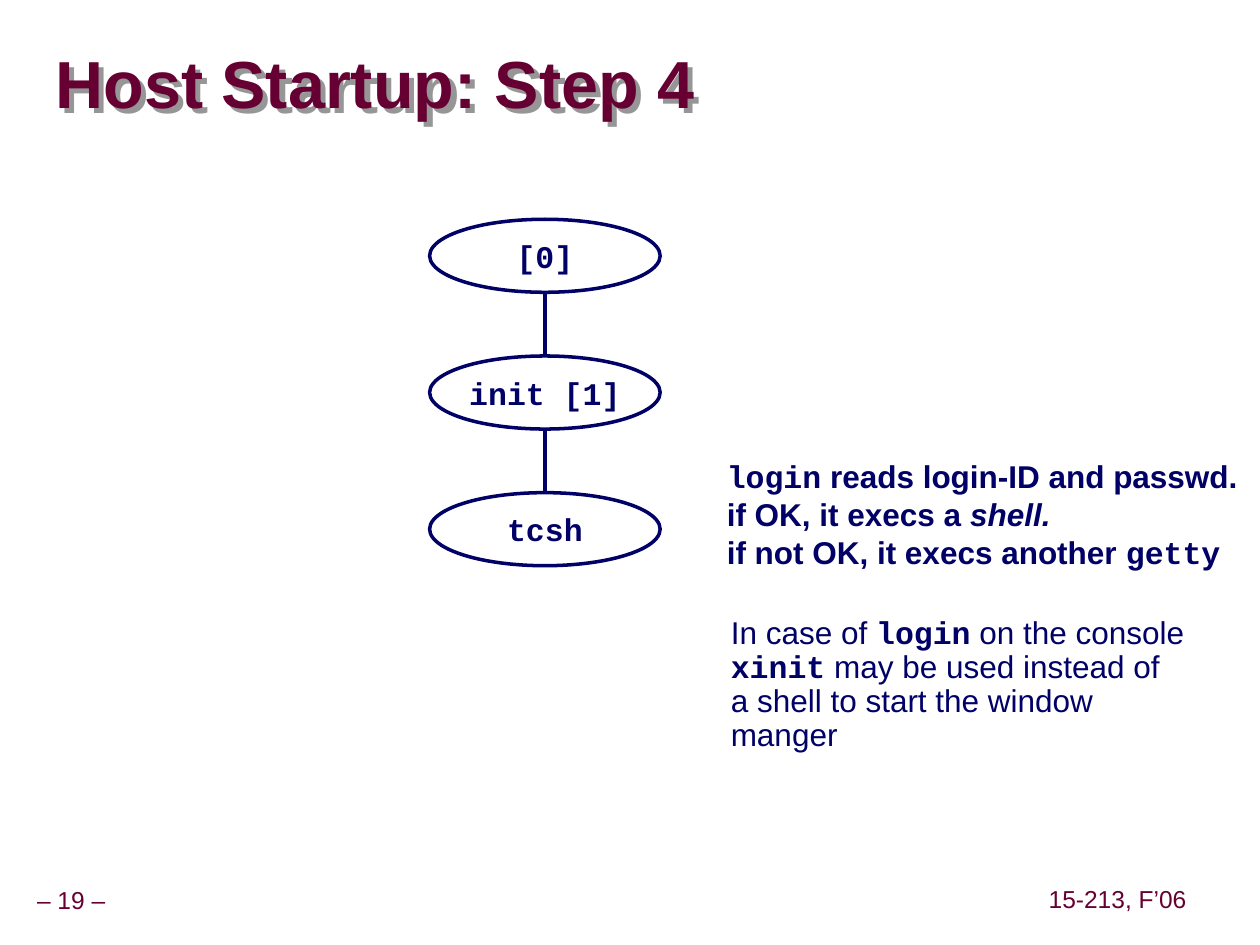
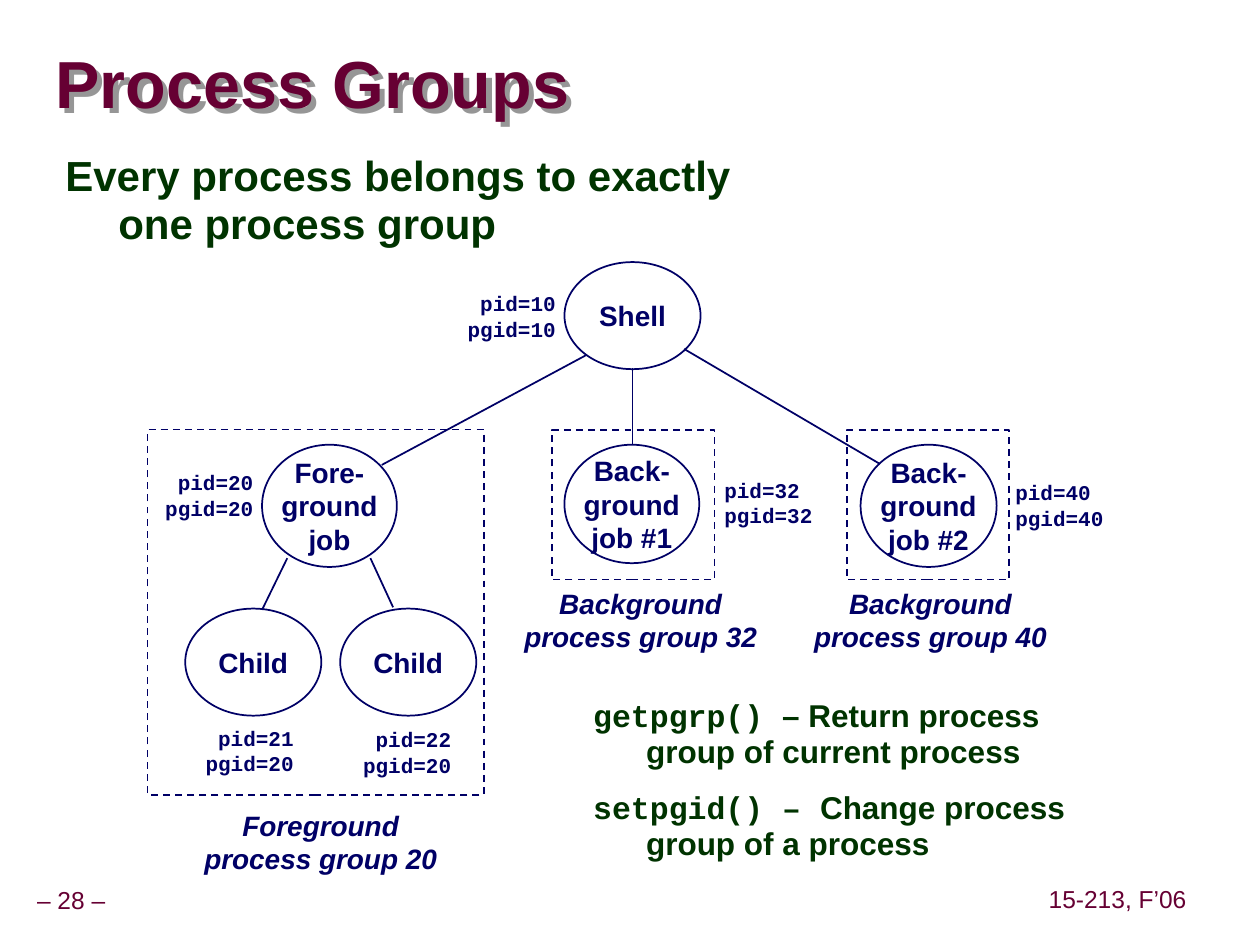
"""Build two slides on host startup and process groups."""

from dataclasses import dataclass, replace

from lxml import etree
from pptx import Presentation
from pptx.dml.color import RGBColor
from pptx.enum.dml import MSO_LINE
from pptx.enum.shapes import MSO_CONNECTOR, MSO_SHAPE
from pptx.enum.text import MSO_ANCHOR, MSO_AUTO_SIZE, PP_ALIGN
from pptx.oxml.ns import qn
from pptx.util import Inches, Pt

COLORS = {"maroon": "660033", "navy": "000066", "green": "003300",
          "white": "FFFFFF", "shadow": "969696"}
SANS, MONO = "Arial", "Courier New"
LEFT, CENTER, RIGHT = PP_ALIGN.LEFT, PP_ALIGN.CENTER, PP_ALIGN.RIGHT
TOP, MIDDLE = MSO_ANCHOR.TOP, MSO_ANCHOR.MIDDLE
FIT, FIXED = MSO_AUTO_SIZE.SHAPE_TO_FIT_TEXT, MSO_AUTO_SIZE.NONE
OVAL, RECTANGLE = MSO_SHAPE.OVAL, MSO_SHAPE.RECTANGLE
STRAIGHT, DASH = MSO_CONNECTOR.STRAIGHT, MSO_LINE.DASH


@dataclass(frozen=True)
class Style:
    """Character formatting."""
    size: float
    font: str = SANS
    color: str = "navy"
    bold: bool = True
    italic: bool = False


@dataclass(frozen=True)
class Span:
    """Text in one style."""
    text: str
    style: Style


@dataclass(frozen=True)
class Layout:
    """Paragraph and frame formatting."""
    align: PP_ALIGN = LEFT
    anchor: MSO_ANCHOR = TOP
    wrap: bool = False
    fit: MSO_AUTO_SIZE = FIT
    margins: tuple[float, float] = (0.1, 0.05)
    line_spacing: float = 1.0
    space_before: float = 0
    hanging: float = 0


@dataclass(frozen=True)
class Box:
    """Position and size in inches."""
    left: float
    top: float
    width: float
    height: float


@dataclass(frozen=True)
class Process:
    """An oval in a process tree."""
    box: Box
    lines: tuple[str, ...]


@dataclass(frozen=True)
class Label:
    """A text of plain lines placed by its left and top."""
    left: float
    top: float
    lines: tuple[str, ...]
    align: PP_ALIGN


TITLE = Style(38, color="maroon")
FOOTER = Style(14, color="maroon", bold=False)
STARTUP = Style(18, MONO)
NOTE = Style(18)
PLAIN_NOTE = replace(NOTE, bold=False)
BODY = Style(24, color="green")
CALL_TEXT = Style(18, color="green")
CALL_CODE = replace(CALL_TEXT, font=MONO)
JOB = Style(16)
GROUP = replace(JOB, italic=True)
IDENTIFIER = Style(12, MONO)

TITLE_LAYOUT = Layout(LEFT, MIDDLE, True, FIXED, (0, 0), 0.87)
FOOTER_LAYOUT = Layout(CENTER, MIDDLE, margins=(0.05, 0.05), line_spacing=0.9)
OVAL_LAYOUT = Layout(CENTER, MIDDLE, fit=FIXED)
BODY_LAYOUT = Layout(wrap=True, fit=FIXED, line_spacing=0.95, hanging=0.42)

STARTUP_NAMES = ("[0]", "init [1]", "tcsh")
STARTUP_TOP, STARTUP_STEP = 1.74, 1.085
STARTUP_LEFT, STARTUP_WIDTH, STARTUP_HEIGHT = 3.41, 1.83, 0.58

LOGIN_NOTE = (
    (Span("login", STARTUP), Span(" reads login-ID and passwd.", NOTE)),
    (Span("if OK, it execs a ", NOTE),
     Span("shell.", replace(NOTE, italic=True))),
    (Span("if not OK, it execs another ", NOTE), Span("getty", STARTUP)),
)
CONSOLE_NOTE = (
    (Span("In case of ", PLAIN_NOTE), Span("login", STARTUP),
     Span(" on the console", PLAIN_NOTE)),
    (Span("xinit", STARTUP), Span(" may be used instead of", PLAIN_NOTE)),
    (Span("a shell to start the window manger", PLAIN_NOTE),),
)
CALLS = (
    (Span("getpgrp() ", CALL_CODE),
     Span("– Return process group of current process", CALL_TEXT)),
    (Span("setpgid() – ", CALL_CODE),
     Span("Change process group of a process", CALL_TEXT)),
)

PROCESSES = (
    Process(Box(2.08, 3.53, 1.07, 0.97), ("Fore-", "ground", "job")),
    Process(Box(4.48, 3.53, 1.07, 0.94), ("Back-", "ground", "job #1")),
    Process(Box(6.83, 3.53, 1.08, 0.97), ("Back-", "ground", "job #2")),
    Process(Box(4.48, 2.08, 1.08, 0.85), ("Shell",)),
    Process(Box(1.47, 4.83, 1.08, 0.85), ("Child",)),
    Process(Box(2.7, 4.83, 1.08, 0.85), ("Child",)),
)
BRANCHES = (
    (2.28, 4.43, 2.08, 4.84),
    (2.94, 4.43, 3.12, 4.82),
    (5.02, 2.92, 5.02, 3.53),
    (4.65, 2.82, 3.03, 3.69),
    (5.43, 2.77, 6.98, 3.68),
)
GROUP_FRAMES = (Box(1.17, 3.41, 2.67, 2.9), Box(4.38, 3.41, 1.29, 1.19),
                Box(6.72, 3.41, 1.29, 1.19))
GROUP_LABELS = (
    Label(1.52, 6.36, ("Foreground", "process group 20"), CENTER),
    Label(4.06, 4.6, ("Background", "process group 32"), CENTER),
    Label(6.36, 4.6, ("Background", "process group 40"), CENTER),
)
IDENTIFIER_LABELS = (
    Label(3.61, 2.26, ("pid=10", "pgid=10"), RIGHT),
    Label(1.21, 3.68, ("pid=20", "pgid=20"), RIGHT),
    Label(5.65, 3.74, ("pid=32", "pgid=32"), LEFT),
    Label(7.96, 3.76, ("pid=40", "pgid=40"), LEFT),
    Label(1.53, 5.71, ("pid=21", "pgid=20"), RIGHT),
    Label(2.78, 5.72, ("pid=22", "pgid=20"), RIGHT),
)


def color(name: str) -> RGBColor:
    """Look up a palette color."""
    return RGBColor.from_string(COLORS[name])


def place(box: Box) -> tuple:
    """Convert a box to lengths."""
    return tuple(Inches(value) for value in
                 (box.left, box.top, box.width, box.height))


def plain(lines: tuple[str, ...], style: Style) -> tuple:
    """Turn plain lines into single-span paragraphs."""
    return tuple((Span(line, style),) for line in lines)


def write(shape, paragraphs: tuple, layout: Layout) -> None:
    """Fill a shape with formatted paragraphs."""
    frame = shape.text_frame
    frame.word_wrap = layout.wrap
    frame.auto_size = layout.fit
    frame.vertical_anchor = layout.anchor
    frame.margin_left = frame.margin_right = Inches(layout.margins[0])
    frame.margin_top = frame.margin_bottom = Inches(layout.margins[1])
    for index, spans in enumerate(paragraphs):
        paragraph = frame.add_paragraph() if index else frame.paragraphs[0]
        paragraph.alignment = layout.align
        paragraph.line_spacing = layout.line_spacing
        if index and layout.space_before:
            paragraph.space_before = Pt(layout.space_before)
        if layout.hanging:
            properties = paragraph._p.get_or_add_pPr()
            properties.set("marL", str(Inches(layout.hanging)))
            properties.set("indent", str(-Inches(layout.hanging)))
        for span in spans:
            run = paragraph.add_run()
            run.text = span.text
            run.font.size = Pt(span.style.size)
            run.font.name = span.style.font
            run.font.bold = span.style.bold
            run.font.italic = span.style.italic
            run.font.color.rgb = color(span.style.color)


def add_text(slide, box: Box, paragraphs: tuple, layout: Layout):
    """Add a text box."""
    shape = slide.shapes.add_textbox(*place(box))
    write(shape, paragraphs, layout)
    return shape


def add_oval(slide, process: Process, style: Style, width: float) -> None:
    """Add a labelled process oval."""
    shape = slide.shapes.add_shape(OVAL, *place(process.box))
    shape.shadow.inherit = False
    shape.fill.solid()
    shape.fill.fore_color.rgb = color("white")
    shape.line.color.rgb = color("navy")
    shape.line.width = Pt(width)
    write(shape, plain(process.lines, style), OVAL_LAYOUT)


def add_frame(slide, box: Box) -> None:
    """Add a dashed frame around a process group."""
    shape = slide.shapes.add_shape(RECTANGLE, *place(box))
    shape.shadow.inherit = False
    shape.fill.background()
    shape.line.color.rgb = color("navy")
    shape.line.width = Pt(1)
    shape.line.dash_style = DASH


def add_line(slide, ends: tuple, width: float) -> None:
    """Add a straight connector."""
    connector = slide.shapes.add_connector(
        STRAIGHT, *(Inches(value) for value in ends))
    connector.line.color.rgb = color("navy")
    connector.line.width = Pt(width)
    etree.SubElement(connector._element.spPr, qn("a:effectLst"))


def add_title_shadow(shape) -> None:
    """Cast a hard shadow from the title text."""
    effects = etree.SubElement(shape._element.spPr, qn("a:effectLst"))
    shadow = etree.SubElement(effects, qn("a:outerShdw"), dist=str(Inches(0.06)),
                              dir="2700000", algn="ctr", rotWithShape="0")
    etree.SubElement(shadow, qn("a:srgbClr"), val=COLORS["shadow"])


def add_slide(presentation, title: str, number: int):
    """Add a slide with its title and footers."""
    slide = presentation.slides.add_slide(presentation.slide_layouts[6])
    for box, text in ((Box(0, 7, 1.13, 0.31), f"– {number} –"),
                      (Box(8.27, 6.99, 1.2, 0.31), "15-213, F’06")):
        add_text(slide, box, plain((text,), FOOTER), FOOTER_LAYOUT)
    heading = add_text(slide, Box(0.44, 0.27, 9.53, 0.85),
                       plain((title,), TITLE), TITLE_LAYOUT)
    add_title_shadow(heading)
    return slide


def build_startup(presentation) -> None:
    """Build the startup chain slide."""
    slide = add_slide(presentation, "Host Startup: Step 4", 19)
    center = STARTUP_LEFT + STARTUP_WIDTH / 2
    for index, name in enumerate(STARTUP_NAMES):
        top = STARTUP_TOP + index * STARTUP_STEP
        box = Box(STARTUP_LEFT, top, STARTUP_WIDTH, STARTUP_HEIGHT)
        add_oval(slide, Process(box, (name,)), STARTUP, 2)
        if index:
            previous_bottom = top - STARTUP_STEP + STARTUP_HEIGHT
            add_line(slide, (center, previous_bottom, center, top), 2)
    add_text(slide, Box(5.67, 3.58, 4.33, 1), LOGIN_NOTE, Layout(wrap=True))
    add_text(slide, Box(5.75, 4.85, 3.89, 0.91), CONSOLE_NOTE,
             Layout(margins=(0.05, 0.05), line_spacing=0.9))


def build_groups(presentation) -> None:
    """Build the process group slide."""
    slide = add_slide(presentation, "Process Groups", 28)
    statement = ("Every process belongs to exactly one process group",)
    add_text(slide, Box(0.42, 1.17, 5.75, 1.5), plain(statement, BODY), BODY_LAYOUT)
    for process in PROCESSES:
        add_oval(slide, process, JOB, 1)
    for ends in BRANCHES:
        add_line(slide, ends, 1)
    for box in GROUP_FRAMES:
        add_frame(slide, box)
    for labels, style, width, height in ((GROUP_LABELS, GROUP, 2.05, 0.64),
                                         (IDENTIFIER_LABELS, IDENTIFIER, 0.9, 0.5)):
        for label in labels:
            add_text(slide, Box(label.left, label.top, width, height),
                     plain(label.lines, style), Layout(label.align, MIDDLE))
    add_text(slide, Box(4.61, 5.5, 4, 1.5), CALLS,
             replace(BODY_LAYOUT, space_before=11.2))


def main() -> None:
    """Create and save the presentation."""
    presentation = Presentation()
    presentation.slide_width, presentation.slide_height = Inches(10), Inches(7.5)
    build_startup(presentation)
    build_groups(presentation)
    presentation.save("out.pptx")


if __name__ == "__main__":
    main()
